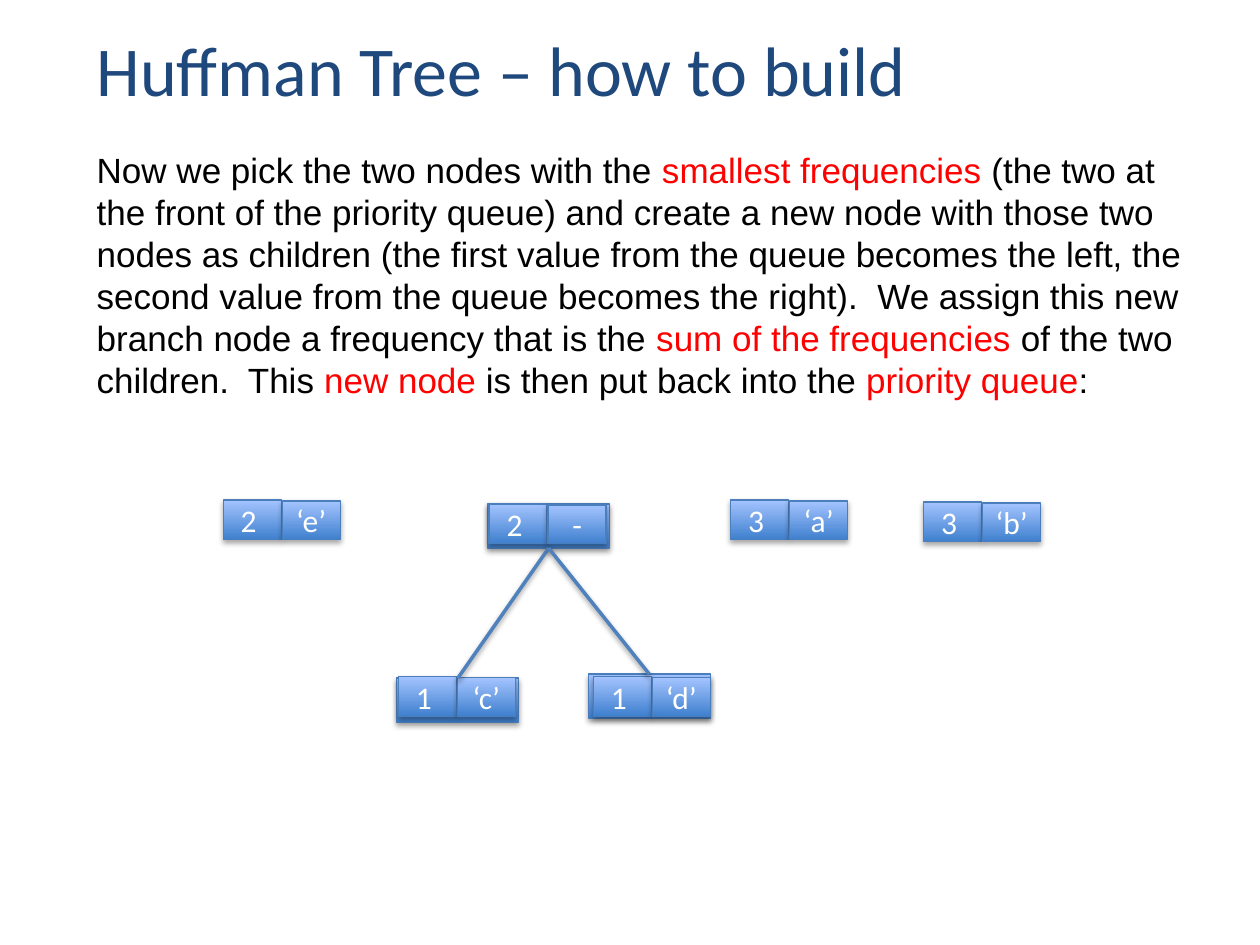
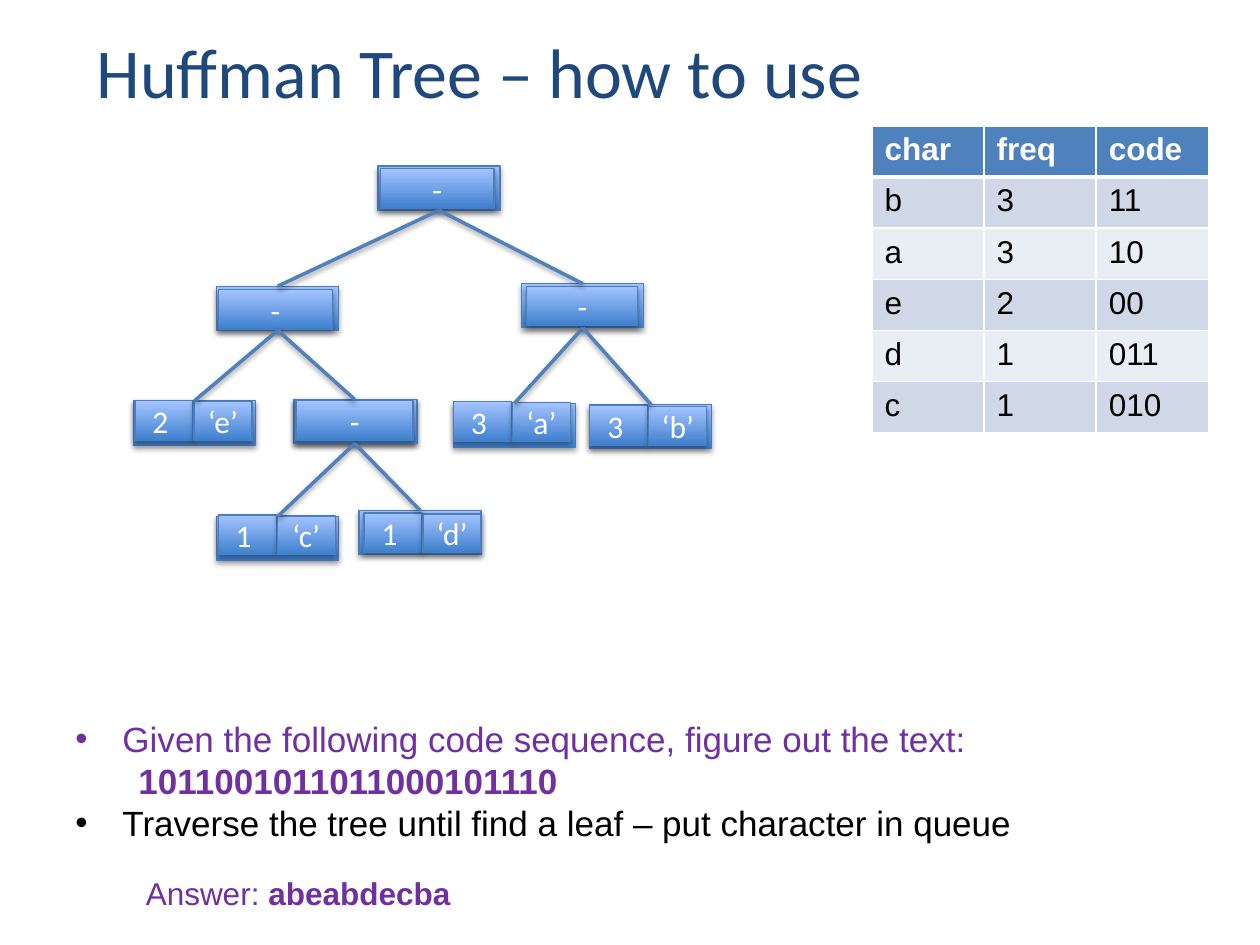
"""Build two slides on building and using a Huffman tree."""
from lxml.etree import SubElement
from pptx import Presentation
from pptx.dml.color import RGBColor
from pptx.enum.shapes import MSO_CONNECTOR as Connector, MSO_SHAPE as Shape
from pptx.enum.text import MSO_ANCHOR as Anchor, MSO_AUTO_SIZE as AutoSize, PP_ALIGN as Align
from pptx.oxml.ns import qn
from pptx.util import Cm, Pt

BLACK = RGBColor(0x00, 0x00, 0x00)
WHITE = RGBColor(0xFF, 0xFF, 0xFF)
RED = RGBColor(0xFF, 0x00, 0x00)
PURPLE = RGBColor(0x70, 0x30, 0xA0)
NAVY = RGBColor(0x1F, 0x49, 0x7D)
BLUE = RGBColor(0x4F, 0x81, 0xBD)
OUTLINE = RGBColor(0x4B, 0x7E, 0xBC)
NODE_BOTTOM = RGBColor(0x3F, 0x80, 0xCE)
NODE_TOP = RGBColor(0xA4, 0xC4, 0xFF)
BAND_DARK = RGBColor(0xD0, 0xD8, 0xE8)
BAND_LIGHT = RGBColor(0xE9, 0xED, 0xF4)

BODY_FONT = "Arial"
HEAD_FONT = "Calibri"
FRAME_WIDTH, FRAME_HEIGHT = 2.46, 0.89
CELL_WIDTH, CELL_HEIGHT, CELL_STEP = 1.17, 0.8, 1.19

CODES = [
    ("char", "freq", "code"),
    ("b", "3", "11"),
    ("a", "3", "10"),
    ("e", "2", "00"),
    ("d", "1", "011"),
    ("c", "1", "010"),
]


def write(para, text, size=20, font=BODY_FONT, color=BLACK, bold=False):
    """Add a formatted run to a paragraph."""
    span = para.add_run()
    span.text = text
    span.font.size = Pt(size)
    span.font.name = font
    span.font.color.rgb = color
    span.font.bold = bold


def add_box(slide, left, top, width, height, wrap=True):
    """Add a text box and return its text frame."""
    frame = slide.shapes.add_textbox(Cm(left), Cm(top), Cm(width), Cm(height)).text_frame
    frame.word_wrap = wrap
    frame.auto_size = AutoSize.SHAPE_TO_FIT_TEXT
    return frame


def add_title(slide, text, top):
    """Add the slide title."""
    frame = add_box(slide, 1.7, top, 18, 1.96)
    write(frame.paragraphs[0], text, size=40, font=HEAD_FONT, color=NAVY)


def add_shadow(shape, distance, opacity):
    """Give a shape or connector a soft shadow below it."""
    effects = SubElement(shape.element.spPr, qn("a:effectLst"))
    shadow = SubElement(effects, qn("a:outerShdw"), blurRad=str(Pt(3.15)),
                        dist=str(Pt(distance)), dir="5400000", rotWithShape="0")
    color = SubElement(shadow, qn("a:srgbClr"), val=str(BLACK))
    SubElement(color, qn("a:alpha"), val=str(opacity * 1000))


def add_block(shapes, left, top, width, height, label=None):
    """Add one gradient rectangle, with a label if given."""
    block = shapes.add_shape(Shape.RECTANGLE, Cm(left), Cm(top), Cm(width), Cm(height))
    block.fill.gradient()
    block.fill.gradient_angle = 90
    for stop, color in zip(block.fill.gradient_stops, (NODE_BOTTOM, NODE_TOP)):
        stop.color.rgb = color
    block.line.color.rgb = OUTLINE
    block.line.width = Pt(0.75)
    add_shadow(block, 1.8, 35)
    if label:
        block.text_frame.vertical_anchor = Anchor.MIDDLE
        para = block.text_frame.paragraphs[0]
        para.alignment = Align.CENTER
        write(para, label, size=18, font=HEAD_FONT, color=WHITE)


def add_pair(shapes, left, top, frequency, symbol):
    """Add the frequency cell and the symbol cell of a node."""
    add_block(shapes, left, top, CELL_WIDTH, CELL_HEIGHT, f"{frequency} ")
    add_block(shapes, left + CELL_STEP, top + 0.02, CELL_WIDTH, CELL_HEIGHT - 0.02, symbol)


def add_leaf(slide, left, top, frequency, symbol, shift=(0.03, 0)):
    """Add a framed node of two cells and return its frame corner."""
    shapes = slide.shapes.add_group_shape().shapes
    add_block(shapes, left, top, FRAME_WIDTH, FRAME_HEIGHT)
    add_pair(shapes, left + shift[0], top + shift[1], frequency, symbol)
    return left, top


def add_branch(slide, left, top, width, shift, frames=1):
    """Add a framed branch node of one cell and return its frame corner."""
    shapes = slide.shapes.add_group_shape().shapes
    for index in range(frames):
        add_block(shapes, left + 0.03 * index, top, FRAME_WIDTH, FRAME_HEIGHT)
    add_block(shapes, left + shift[0], top + shift[1], width, CELL_HEIGHT, "-")
    return left, top


def add_edges(slide, parent, *children):
    """Join the bottom of a parent to the top of each child."""
    middle = FRAME_WIDTH / 2
    for left, top in children:
        edge = slide.shapes.add_connector(
            Connector.STRAIGHT, Cm(parent[0] + middle), Cm(parent[1] + FRAME_HEIGHT),
            Cm(left + middle), Cm(top))
        edge.line.color.rgb = BLUE
        edge.line.width = Pt(2)
        add_shadow(edge, 1.6, 38)


def add_border(cell, side, width):
    """Draw one white border of a table cell."""
    line = SubElement(cell._tc.get_or_add_tcPr(), qn(f"a:ln{side}"), w=str(Pt(width)))
    fill = SubElement(line, qn("a:solidFill"))
    SubElement(fill, qn("a:srgbClr"), val=str(WHITE))


def add_code_table(slide, left, top):
    """Add the table of characters, frequencies and codes."""
    rows, columns = len(CODES), len(CODES[0])
    table = slide.shapes.add_table(rows, columns, Cm(left), Cm(top),
                                   Cm(2.26 * columns), Cm(1.03 * rows)).table
    for column in table.columns:
        column.width = Cm(2.26)
    for index, values in enumerate(CODES):
        header = index == 0
        table.rows[index].height = Cm(1.03)
        band = BLUE if header else (BAND_LIGHT, BAND_DARK)[index % 2]
        for cell, value in zip(table.rows[index].cells, values):
            thick = {"T": index == 1, "B": header}
            for side in "LRTB":
                add_border(cell, side, 3 if thick.get(side) else 1)
            cell.fill.solid()
            cell.fill.fore_color.rgb = band
            write(cell.text_frame.paragraphs[0], value, size=18,
                  color=WHITE if header else BLACK, bold=header)


def indent(para, margin, hanging=0, bullet=False):
    """Set the indents of a paragraph and an optional bullet."""
    properties = para._p.get_or_add_pPr()
    properties.set("marL", str(Cm(margin)))
    properties.set("indent", str(Cm(-hanging)))
    if bullet:
        SubElement(properties, qn("a:buFont"), typeface=BODY_FONT)
        SubElement(properties, qn("a:buChar"), char="•")


def build_slide(deck):
    """Show the first merge of two nodes."""
    slide = deck.slides.add_slide(deck.slide_layouts[6])
    para = add_box(slide, 1.7, 2.87, 22.43, 5.38).paragraphs[0]
    pieces = [
        "Now we pick the two nodes with the ",
        "smallest frequencies ",
        "(the two at the front of the priority queue) and create a new node with "
        "those two nodes as children (the first value from the queue becomes the "
        "left, the second value from the queue becomes the right).  We assign this "
        "new branch node a frequency that is the ",
        "sum of the frequencies ",
        "of the two children.  This ",
        "new node ",
        "is then put back into the ",
        "priority queue",
        ":",
    ]
    for index, piece in enumerate(pieces):
        write(para, piece, color=RED if index % 2 else BLACK)
    add_title(slide, "Huffman Tree – how to build", 0.41)

    leaf_c = add_leaf(slide, 8, 13.67, 1, "‘c’", shift=(0.03, -0.03))
    leaf_d = add_leaf(slide, 11.86, 13.59, 1, "‘d’", shift=(0.1, 0.05))
    queue = [(4.5, 10.08, 2, "‘e’"), (14.73, 10.08, 3, "‘a’"), (18.62, 10.12, 3, "‘b’")]
    for item in queue:
        add_pair(slide.shapes.add_group_shape().shapes, *item)
    root = add_leaf(slide, 9.83, 10.16, 2, "-")
    add_edges(slide, root, leaf_c, leaf_d)


def use_slide(deck):
    """Show the finished tree, its code table and an exercise."""
    slide = deck.slides.add_slide(deck.slide_layouts[6])
    frame = add_box(slide, 1.27, 14.33, 23.5, 2.82)
    task, sequence, hint = frame.paragraphs[0], frame.add_paragraph(), frame.add_paragraph()
    indent(task, 0.95, hanging=0.95, bullet=True)
    write(task, "Given the following code sequence, figure out the text:", color=PURPLE)
    sequence.level = 1
    indent(sequence, 1.27)
    write(sequence, "1011001011011000101110", color=PURPLE, bold=True)
    indent(hint, 0.95, hanging=0.95, bullet=True)
    write(hint, "Traverse the tree until find a leaf – put character in queue")
    add_title(slide, "Huffman Tree – how to use", 0.46)
    answer = add_box(slide, 2.69, 17.5, 6.7, 1.02, wrap=False).paragraphs[0]
    write(answer, "Answer: ", size=18, color=PURPLE)
    write(answer, "abeabdecba", size=18, color=PURPLE, bold=True)
    add_code_table(slide, 17.58, 2.54)

    leaf_c = add_leaf(slide, 4.37, 10.41, 1, "‘c’", shift=(0.03, -0.03))
    leaf_d = add_leaf(slide, 7.24, 10.29, 1, "‘d’", shift=(0.1, 0.05))
    leaf_e = add_leaf(slide, 2.69, 8.08, 2, "‘e’")
    leaf_b = add_leaf(slide, 11.89, 8.15, 3, "‘b’", shift=(0, 0.03))
    leaf_a = add_leaf(slide, 9.14, 8.13, 3, "‘a’", shift=(0, -0.03))
    branch_cd = add_branch(slide, 5.92, 8.05, 2.36, (0.05, 0.03), frames=2)
    left = add_branch(slide, 4.37, 5.77, 2.31, (0.03, 0.07))
    right = add_branch(slide, 10.52, 5.72, 2.24, (0.1, 0.05))
    root = add_branch(slide, 7.62, 3.35, 2.29, (0.05, 0.05))
    add_edges(slide, branch_cd, leaf_c, leaf_d)
    add_edges(slide, left, leaf_e, branch_cd)
    add_edges(slide, right, leaf_a, leaf_b)
    add_edges(slide, root, left, right)


def main():
    """Build and save the deck."""
    deck = Presentation()
    deck.slide_width, deck.slide_height = Cm(25.4), Cm(19.05)
    build_slide(deck)
    use_slide(deck)
    deck.save("out.pptx")


main()
